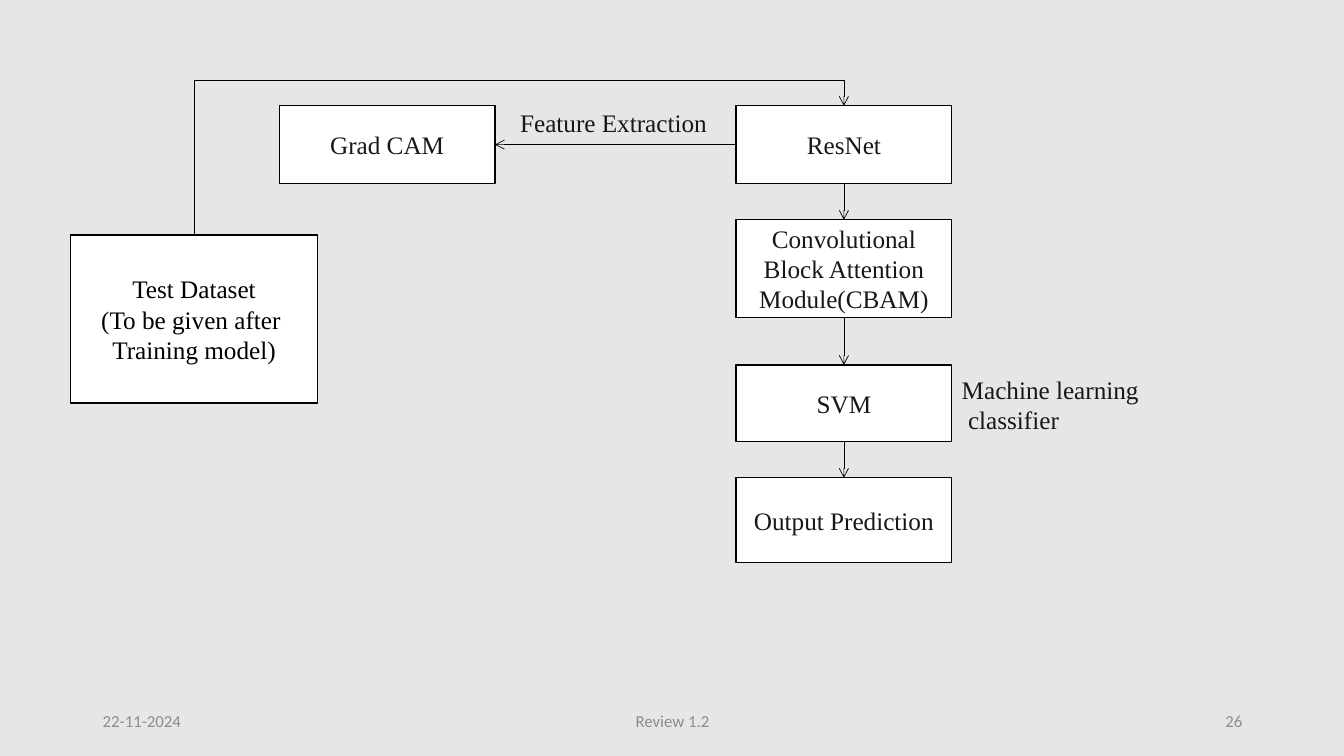
import pptx
import pptx.util
import pptx.dml.color
import pptx.enum.shapes
import pptx.enum.text
import pptx.oxml.ns
from lxml import etree

Inches = pptx.util.Inches
Pt = pptx.util.Pt
ALIGN = pptx.enum.text.PP_ALIGN
ANCHOR = pptx.enum.text.MSO_ANCHOR
CONNECTOR = pptx.enum.shapes.MSO_CONNECTOR
qn = pptx.oxml.ns.qn

COLORS = {"background": "E7E6E6", "box": "FFFFFF", "line": "000000",
          "text": "181717", "dataset": "000000", "footer": "8C8C8C"}
TOP, LEFT, BOTTOM = 0, 1, 2
RIGHT = 3


def rgb(name):
    return pptx.dml.color.RGBColor.from_string(COLORS[name])


def write(tf, lines, color="text", size=18, font="Times New Roman", align=ALIGN.LEFT):
    for i, line in enumerate(lines):
        p = tf.paragraphs[0] if i == 0 else tf.add_paragraph()
        p.text = line
        p.alignment = align
        p.font.size = Pt(size)
        p.font.name = font
        p.font.color.rgb = rgb(color)


def add_box(slide, box, lines, color="text"):
    sp = slide.shapes.add_shape(pptx.enum.shapes.MSO_SHAPE.RECTANGLE, *map(Inches, box))
    sp.shadow.inherit = False
    sp.fill.solid()
    sp.fill.fore_color.rgb = rgb("box")
    sp.line.color.rgb = rgb("line")
    sp.line.width = Pt(1)
    sp.text_frame.vertical_anchor = ANCHOR.MIDDLE
    write(sp.text_frame, lines, color, align=ALIGN.CENTER)
    return sp


def add_label(slide, box, lines):
    tf = slide.shapes.add_textbox(*map(Inches, box)).text_frame
    tf.word_wrap = False
    tf.auto_size = pptx.enum.text.MSO_AUTO_SIZE.SHAPE_TO_FIT_TEXT
    write(tf, lines)


def add_arrow(slide, start, start_side, end, end_side, kind=CONNECTOR.STRAIGHT):
    cxn = slide.shapes.add_connector(kind, 0, 0, 0, 0)
    cxn.begin_connect(start, start_side)
    cxn.end_connect(end, end_side)
    cxn.line.color.rgb = rgb("line")
    cxn.line.width = Pt(0.5)
    etree.SubElement(cxn.line._get_or_add_ln(), qn("a:tailEnd"), type="arrow")
    etree.SubElement(cxn._element.spPr, qn("a:effectLst"))
    return cxn


def add_over_arrow(slide, start, end, rise):
    """Elbow arrow from the top of start to the top of end, passing rise above end."""
    cxn = add_arrow(slide, start, TOP, end, TOP, CONNECTOR.ELBOW)
    across, up = cxn.width, cxn.height
    mid_x, mid_y = cxn.left + across // 2, cxn.top + up // 2
    # A quarter turn swaps width and height about the centre.
    cxn.begin_x, cxn.begin_y = mid_x + up // 2, mid_y + across // 2
    cxn.end_x, cxn.end_y = mid_x - up // 2, mid_y - across // 2
    cxn.rotation = 90
    geom = cxn._element.spPr.find(qn("a:prstGeom"))
    guides = geom.find(qn("a:avLst"))
    if guides is None:
        guides = etree.SubElement(geom, qn("a:avLst"))
    bend = round(100000 * (up + Inches(rise)) / up)
    etree.SubElement(guides, qn("a:gd"), name="adj1", fmla=f"val {bend}")


def add_pipeline(slide, left, width):
    """Column of model steps joined by downward arrows; returns the first box."""
    steps = [("ResNet", 1.05, 0.77),
             ("Convolutional Block Attention Module(CBAM)", 2.18, 0.97),
             ("SVM", 3.62, 0.76),
             ("Output Prediction", 4.74, 0.84)]
    boxes = [add_box(slide, (left, top, width, height), [text])
             for text, top, height in steps]
    for upper, lower in zip(boxes, boxes[1:]):
        add_arrow(slide, upper, BOTTOM, lower, TOP)
    add_label(slide, (left + width, 3.66, 1.98, 0.71), ["Machine learning", " classifier"])
    return boxes[0]


def add_inputs(slide, resnet):
    grad_cam = add_box(slide, (2.77, 1.05, 2.14, 0.77), ["Grad CAM"])
    add_arrow(slide, resnet, LEFT, grad_cam, RIGHT)
    add_label(slide, (5.06, 1.02, 2.08, 0.4), ["Feature Extraction"])
    dataset = add_box(slide, (0.7, 2.33, 2.45, 1.67),
                      ["Test Dataset", "(To be given after ", "Training model)"], "dataset")
    add_over_arrow(slide, dataset, resnet, 0.25)


def add_footer(slide, top, height):
    for text, left, width, align in [("22-11-2024", 0.92, 3, ALIGN.LEFT),
                                     ("Review 1.2", 4.42, 4.5, ALIGN.CENTER),
                                     ("26", 9.42, 3, ALIGN.RIGHT)]:
        tf = slide.shapes.add_textbox(*map(Inches, (left, top, width, height))).text_frame
        tf.word_wrap = True
        tf.vertical_anchor = ANCHOR.MIDDLE
        write(tf, [text], "footer", 12, "Calibri", align)


def main():
    prs = pptx.Presentation()
    prs.slide_width, prs.slide_height = Inches(13.33), Inches(7.5)
    slide = prs.slides.add_slide(prs.slide_layouts[6])
    slide.background.fill.solid()
    slide.background.fill.fore_color.rgb = rgb("background")
    resnet = add_pipeline(slide, 7.3, 2.14)
    add_inputs(slide, resnet)
    add_footer(slide, 6.95, 0.4)
    prs.save("out.pptx")


if __name__ == "__main__":
    main()
